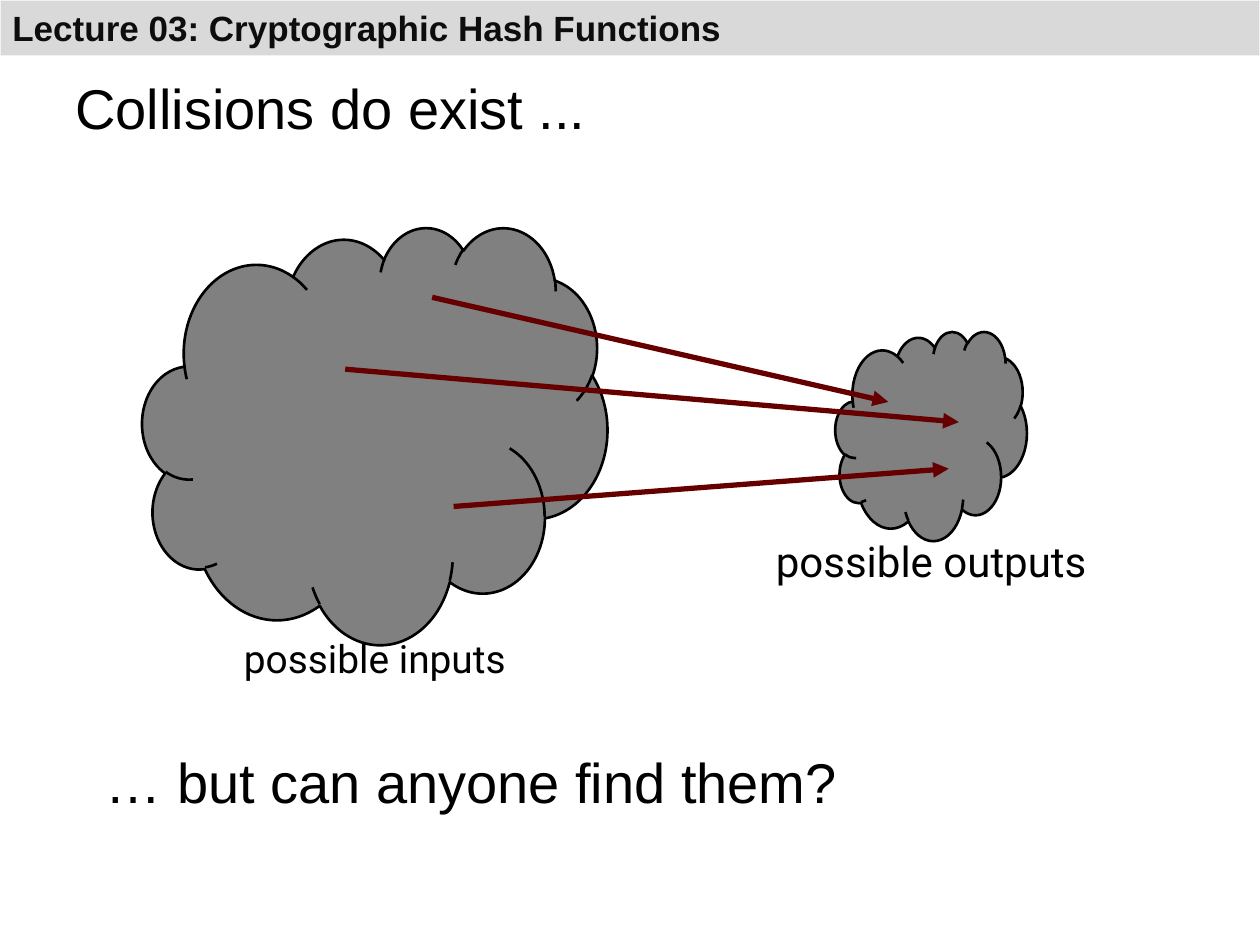
from typing import NamedTuple

from lxml import etree
from pptx import Presentation
from pptx import util as u
from pptx.dml.color import RGBColor
from pptx.enum import shapes, text
from pptx.oxml import ns

SCALE = u.Inches(1) // 100  # 100 px to the inch
BLACK, GREY, WINE = "000000", "808080", "660000"


class Box(NamedTuple):
    x: int
    y: int
    w: int
    h: int


class Label(NamedTuple):
    words: str
    box: Box
    size: float
    face: str
    side: text.PP_ALIGN = text.PP_ALIGN.LEFT
    top: int = 10
    lead: float = 1.0


class Arrow(NamedTuple):
    x1: int
    y1: int
    x2: int
    y2: int


MID = text.PP_ALIGN.CENTER
CLOUDS = [Box(113, 180, 369, 331), Box(663, 263, 152, 166)]
LABELS = [
    Label("Collisions do exist ...", Box(50, 44, 900, 127), 32, "Arial", top=14),
    Label("possible inputs", Box(170, 498, 255, 67), 22.2, "Roboto", MID, lead=0.9),
    Label("possible outputs", Box(598, 415, 282, 67), 24, "Roboto", MID),
    Label("… but can anyone find them?", Box(74, 579, 900, 127), 32, "Arial", top=14),
]
ARROWS = [
    Arrow(343, 236, 705, 319),
    Arrow(360, 402, 753, 372),
    Arrow(274, 293, 761, 335),
]


def emu(*px: int) -> list[int]:
    return [n * SCALE for n in px]


def tint(code: str) -> RGBColor:
    return RGBColor.from_string(code)


def style(item, **values) -> None:
    for name, value in values.items():
        setattr(item, name, value)


def stroke(line, code: str, width: float) -> None:
    line.color.rgb = tint(code)
    line.width = u.Pt(width)


def draw_shape(slide, kind, box: Box, fill: str, edge: str, width: float):
    shape = slide.shapes.add_shape(kind, *emu(*box))
    shape.shadow.inherit = False
    shape.fill.solid()
    shape.fill.fore_color.rgb = tint(fill)
    stroke(shape.line, edge, width)
    return shape


def write(frame, words: str, size: float, face: str, code: str, **para) -> None:
    """Put one formatted paragraph into a text frame."""
    line = frame.paragraphs[0]
    line.text = words
    style(line, **para)
    font = line.runs[0].font
    style(font, size=u.Pt(size), name=face)
    font.color.rgb = tint(code)


def draw_head(slide) -> None:
    bar = draw_shape(slide, shapes.MSO_SHAPE.RECTANGLE, Box(0, 0, 1000, 44),
                     "D9D9D9", "F2F2F2", 0.75)
    frame = bar.text_frame
    frame.vertical_anchor = text.MSO_ANCHOR.MIDDLE
    write(frame, "Lecture 03: Cryptographic Hash Functions", 20, "Arial",
          "0D0D0D", alignment=text.PP_ALIGN.LEFT)
    frame.paragraphs[0].runs[0].font.bold = True


def draw_label(slide, label: Label) -> None:
    frame = slide.shapes.add_textbox(*emu(*label.box)).text_frame
    side, top = emu(10, label.top)
    style(frame, word_wrap=True, margin_left=side, margin_right=side,
          margin_top=top, margin_bottom=side)
    write(frame, label.words, label.size, label.face, BLACK,
          alignment=label.side, line_spacing=label.lead)


def draw_arrow(slide, arrow: Arrow) -> None:
    link = slide.shapes.add_connector(shapes.MSO_CONNECTOR.STRAIGHT, *emu(*arrow))
    stroke(link.line, WINE, 3)
    props = link.line._get_or_add_ln()
    etree.SubElement(props, ns.qn("a:tailEnd"), type="triangle")
    etree.SubElement(link._element.spPr, ns.qn("a:effectLst"))


def main() -> None:
    deck = Presentation()
    deck.slide_width, deck.slide_height = emu(1000, 750)
    slide = deck.slides.add_slide(deck.slide_layouts[6])
    draw_head(slide)
    for cloud in CLOUDS:
        draw_shape(slide, shapes.MSO_SHAPE.CLOUD, cloud, GREY, BLACK, 1.5)
    for label in LABELS:
        draw_label(slide, label)
    for arrow in ARROWS:
        draw_arrow(slide, arrow)
    deck.save("out.pptx")


if __name__ == "__main__":
    main()
